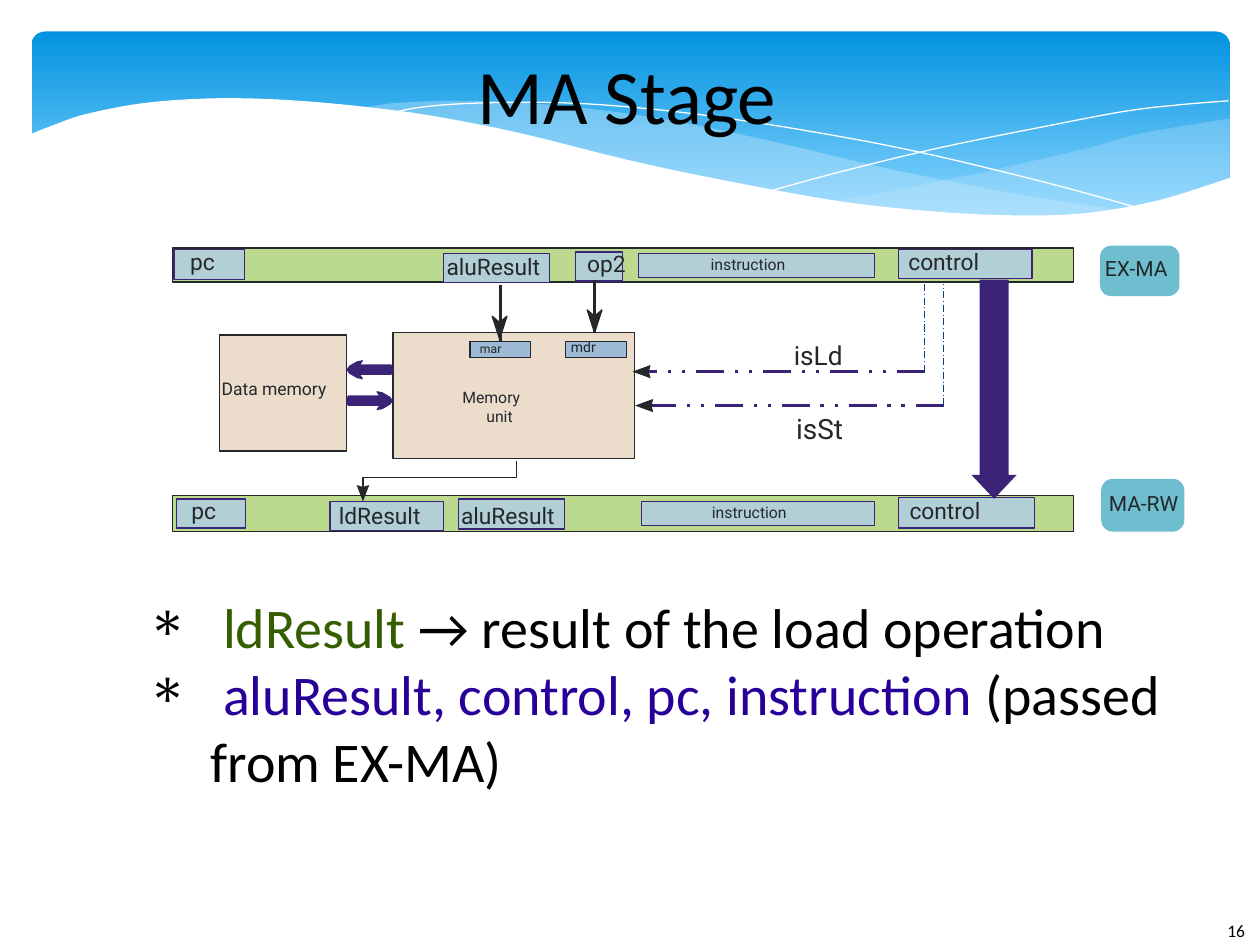
from lxml import etree
from pptx import Presentation
from pptx.dml.color import RGBColor
from pptx.enum.dml import MSO_LINE
from pptx.enum.shapes import MSO_CONNECTOR, MSO_SHAPE
from pptx.enum.text import MSO_ANCHOR, PP_ALIGN
from pptx.oxml.ns import qn
from pptx.util import Pt

RECT, ROUNDED, DOWN_ARROW = MSO_SHAPE.RECTANGLE, MSO_SHAPE.ROUNDED_RECTANGLE, MSO_SHAPE.DOWN_ARROW
STRAIGHT = MSO_CONNECTOR.STRAIGHT
DASH_DOT, DASH_DOT_DOT = MSO_LINE.LONG_DASH_DOT, MSO_LINE.DASH_DOT_DOT
CENTER, TOP, MIDDLE = PP_ALIGN.CENTER, MSO_ANCHOR.TOP, MSO_ANCHOR.MIDDLE

COLORS = {
    "sky": "0293E0", "light_sky": "83D3FE", "haze": "C6E7FC", "white": "FFFFFF",
    "black": "000000", "ink": "24282B", "purple": "3B2478", "navy": "073E87",
    "register": "BCDA8E", "field": "B2CFD6", "unit": "ECDCCB", "port": "9DBBD4",
    "badge": "6FBED0", "green": "355E00", "indigo": "280099",
}

RIGHT_BAND = [
    [(702.7, 67.7), (652, 76.3), (620, 85), (561, 98.6), (508, 109.4), (476, 115.2)],
    [(476, 115.2), (507, 118.8), (545, 121.7), (578, 123.8), (608, 123.1),
     (640, 120.2), (668, 114.5), (702.7, 101.5)],
]
WIDE_BAND = [
    [(643, 120.2), (581, 110.9), (508, 96.5), (453, 83.5), (400, 72), (352, 64),
     (302, 59), (260, 57.6), (225, 59), (206, 62)],
    [(206, 62), (246, 67.7), (291, 76.3), (323, 83.5), (408, 103), (468, 114.5),
     (521, 120.2), (573, 124.6), (603, 124), (643, 120.2)],
]
LONG_THREAD = [[(222.5, 64.8), (241, 61.2), (270, 59), (312, 58.5), (352, 60.5), (400, 65.5),
                (458, 74.2), (523, 86.4), (598, 104.4), (653, 119.5)]]
SHORT_THREAD = [[(441.4, 108.7), (484, 97.2), (538, 84.2), (602, 71.3), (644, 63.4),
                 (675, 59.8), (702, 57.6)]]
WHITE_WAVE = [
    [(703.4, 101.5), (662, 114.5), (621, 121.7), (582, 123.1), (535.7, 121), (481, 115.2),
     (417, 103.7), (362, 92.2), (301, 77), (263, 69.1), (228, 63.4), (180, 58.3),
     (139, 56.2), (105, 56.9), (76, 59.8), (48, 65.5), (33, 70.6), (16.6, 77)],
    [(16.6, 161), (703.4, 161)],
]


def rgb(name):
    return RGBColor.from_string(COLORS[name])


def paint(shape, fill=None, line=None, alpha=None):
    shape.shadow.inherit = False
    if fill:
        shape.fill.solid()
        shape.fill.fore_color.rgb = rgb(fill)
        if alpha:
            color = shape._element.spPr.find(".//" + qn("a:srgbClr"))
            etree.SubElement(color, qn("a:alpha"), val=str(alpha * 1000))
    else:
        shape.fill.background()
    if line:
        shape.line.color.rgb = rgb(line)
        shape.line.width = Pt(0)
    else:
        shape.line.fill.background()


def add_box(slide, box, fill, line=None, kind=RECT, adjustments=()):
    shape = slide.shapes.add_shape(kind, *map(Pt, box))
    for index, value in enumerate(adjustments):
        shape.adjustments[index] = value
    paint(shape, fill, line)
    return shape


def add_outline(slide, points, fill=None, line=None, alpha=None):
    """Draw straight segments; the outline is closed when it has a fill."""
    points = [(Pt(x), Pt(y)) for x, y in points]
    builder = slide.shapes.build_freeform(*points[0])
    builder.add_line_segments(points[1:], close=fill is not None)
    paint(builder.convert_to_shape(), fill, line, alpha)


def smooth(points, steps=6):
    """Sample a Catmull-Rom curve through the points."""
    padded = [points[0], *points, points[-1]]
    sampled = [points[0]]
    for a, b, c, d in zip(padded, padded[1:], padded[2:], padded[3:]):
        for step in range(1, steps + 1):
            t = step / steps
            sampled.append(tuple(
                (2 * q + (r - p) * t + (2 * p - 5 * q + 4 * r - s) * t ** 2
                 + (3 * q - p - 3 * r + s) * t ** 3) / 2
                for p, q, r, s in zip(a, b, c, d)))
    return sampled


def add_wave(slide, curves, **style):
    add_outline(slide, [point for curve in curves for point in smooth(curve)], **style)


def add_text_frame(slide, box, wrap=True, anchor=MIDDLE):
    frame = slide.shapes.add_textbox(*map(Pt, box)).text_frame
    frame.margin_left = frame.margin_right = frame.margin_top = frame.margin_bottom = 0
    frame.word_wrap = wrap
    frame.vertical_anchor = anchor
    return frame


def add_run(paragraph, text, size, color="black", font="Calibri"):
    run = paragraph.add_run()
    run.text = text
    run.font.size = Pt(size)
    run.font.name = font
    run.font.color.rgb = rgb(color)


def add_label(slide, text, left, top, size, width=60):
    frame = add_text_frame(slide, (left, top, width, size * 1.3), wrap=False, anchor=TOP)
    add_run(frame.paragraphs[0], text, size, "ink", "Roboto")


def add_field(slide, text, box, text_left, text_top, size=13):
    add_box(slide, box, "field", "purple")
    add_label(slide, text, text_left, text_top, size, box[2])


def add_line(slide, start, end, color, width=0, dash=None, target=None):
    """Draw a straight line; a target box is joined at the middle of its top."""
    line = slide.shapes.add_connector(STRAIGHT, *map(Pt, (*start, *end)))
    if target is not None:
        line.end_connect(target, 0)
    line.line.color.rgb = rgb(color)
    line.line.width = Pt(width)
    if dash:
        line.line.dash_style = dash
    etree.SubElement(line._element.spPr, qn("a:effectLst"))


def add_notched_head(slide, x, y):
    add_outline(slide, [(x, y - 9.4), (x - 4.2, y - 13), (x, y), (x + 4.2, y - 13)], "ink", "ink")


def add_signal(slide, name, x, y, tip, name_left, name_top, size):
    """Dashed control signal from the EX-MA register into the memory unit."""
    add_line(slide, (x, y), (tip + 2, y), "purple", dash=DASH_DOT_DOT)
    add_line(slide, (x, y), (x, 162.4), "navy", 0.5, DASH_DOT)
    add_outline(slide, [(tip, y), (tip + 10.4, y - 3.8), (tip + 9.4, y), (tip + 10.4, y + 3.8)], "ink")
    add_label(slide, name, name_left, name_top, size)


def add_bus_arrow(slide, tip, y, direction):
    half = [(0, 0), (1.5, -2.2), (6, -4.8), (9.4, -5.5), (9.2, -4.6), (8, -3),
            (25.6, -3), (26.6, -1.5)]
    outline = half + [(x, -dy) for x, dy in reversed(half[1:])]
    add_outline(slide, [(tip + direction * x, y + dy) for x, dy in outline], "purple")


def add_background(slide):
    banner = add_box(slide, (18, 18, 684.7, 112.3), "sky", kind=ROUNDED, adjustments=[0.07])
    banner.fill.gradient()
    banner.fill.gradient_angle = 270
    for stop, position, color in zip(banner.fill.gradient_stops, (0, 0.9), ("sky", "light_sky")):
        stop.position = position
        stop.color.rgb = rgb(color)
    add_wave(slide, RIGHT_BAND, fill="haze", alpha=29)
    add_wave(slide, WIDE_BAND, fill="haze", alpha=40)
    add_wave(slide, LONG_THREAD, line="white")
    add_wave(slide, SHORT_THREAD, line="white")
    add_wave(slide, WHITE_WAVE, fill="white")


def add_diagram(slide):
    add_box(slide, (224.6, 190.1, 138.2, 72), "unit", "ink")
    add_box(slide, (125.3, 191.5, 72.7, 66.2), "unit", "ink")
    add_bus_arrow(slide, 198, 211.3, 1)
    add_bus_arrow(slide, 224.6, 229, -1)
    add_label(slide, "Data memory", 126.7, 216, 10)
    add_label(slide, "Memory", 264.2, 221.8, 9)
    add_label(slide, "unit", 277.9, 232.6, 9)
    mar = add_box(slide, (268.6, 195.1, 34.6, 9.4), "port", "ink")
    add_box(slide, (323.3, 195.1, 34.6, 9.4), "port", "ink")
    add_label(slide, "mar", 274.3, 195.1, 7, 30)
    add_label(slide, "mdr", 326.2, 193.7, 8, 30)

    for top, height in ((141.8, 19.4), (283, 20.9)):
        add_box(slide, (98.6, top, 514.8, height), "register", "ink")
    for field in (
        ("pc", (99.4, 142.6, 40.3, 17.3), 108.7, 141.8),
        ("control", (513.4, 142.6, 76.3, 16.6), 519.1, 141.8),
        ("aluResult", (253.4, 144.7, 60.5, 16.6), 255.2, 144.7),
        ("instruction", (365, 144.7, 134.6, 13.7), 406.1, 145.4, 9),
        ("op2", (329, 144, 26.6, 16.6), 335.5, 142.6),
        ("pc", (100.8, 285.1, 39.6, 16.6), 109.4, 283.7),
        ("control", (513.4, 284.4, 77.8, 17.3), 519.8, 283.7),
        ("ldResult", (188.6, 286.6, 64.8, 16.6), 193.7, 286.6),
        ("instruction", (366.5, 286.6, 133.2, 13.7), 406.8, 287.3, 9),
        ("aluResult", (262.1, 285.1, 60.5, 17.3), 263.5, 286.6),
    ):
        add_field(slide, *field)

    add_line(slide, (285.9, 162.7), (285.9, 195.1), "ink", target=mar)
    add_notched_head(slide, 285.5, 193.7)
    add_line(slide, (339.8, 159.8), (339.8, 190.1), "ink")
    add_notched_head(slide, 339.8, 190.1)
    add_signal(slide, "isLd", 528.5, 212.4, 361.4, 453.6, 193.7, 15)
    add_signal(slide, "isSt", 539.3, 231.8, 362.9, 455, 235.4, 16)
    add_outline(slide, [(295.2, 263.5), (295.2, 272.9), (207.4, 272.9), (207.4, 284.4)], line="ink")
    add_outline(slide, [(211, 277.2), (207.4, 286.6), (203.8, 277.2), (207.4, 278.3)], "ink")
    add_box(slide, (555.1, 159.8, 25.9, 125.3), "purple", kind=DOWN_ARROW, adjustments=[0.64, 0.53])

    for text, box, left, top in (
        ("EX-MA", (628.6, 140.4, 45.4, 28.8), 631.4, 146.2),
        ("MA-RW", (629.3, 273.6, 47.5, 30.2), 633.6, 280.1),
    ):
        add_box(slide, box, "badge", kind=ROUNDED, adjustments=[0.22])
        add_label(slide, text, left, top, 12)


def add_bullets(slide):
    frame = add_text_frame(slide, (84.2, 324, 606.2, 144))
    for index, runs in enumerate((
        [(" ", "black"), ("ldResult ", "green"), ("→ result of the load operation", "black")],
        [(" ", "black"), ("aluResult, control, pc, instruction", "indigo"),
         (" (passed from EX-MA)", "black")],
    )):
        paragraph = frame.add_paragraph() if index else frame.paragraphs[0]
        properties = paragraph._p.get_or_add_pPr()
        properties.set("marL", str(Pt(36)))
        properties.set("indent", str(Pt(-36)))
        etree.SubElement(properties, qn("a:buChar"), char="∗")
        for text, color in runs:
            add_run(paragraph, text, 32, color)


def main():
    presentation = Presentation()
    presentation.slide_width, presentation.slide_height = Pt(720), Pt(540)
    slide = presentation.slides.add_slide(presentation.slide_layouts[6])
    add_background(slide)
    number = add_text_frame(slide, (701.3, 525.6, 18, 14), wrap=False, anchor=TOP)
    add_run(number.paragraphs[0], "16", 10)
    title = add_text_frame(slide, (66.2, 16.6, 583.9, 73.4)).paragraphs[0]
    title.alignment = CENTER
    add_run(title, "MA Stage", 44)
    add_bullets(slide)
    add_diagram(slide)
    presentation.save("out.pptx")


if __name__ == "__main__":
    main()
